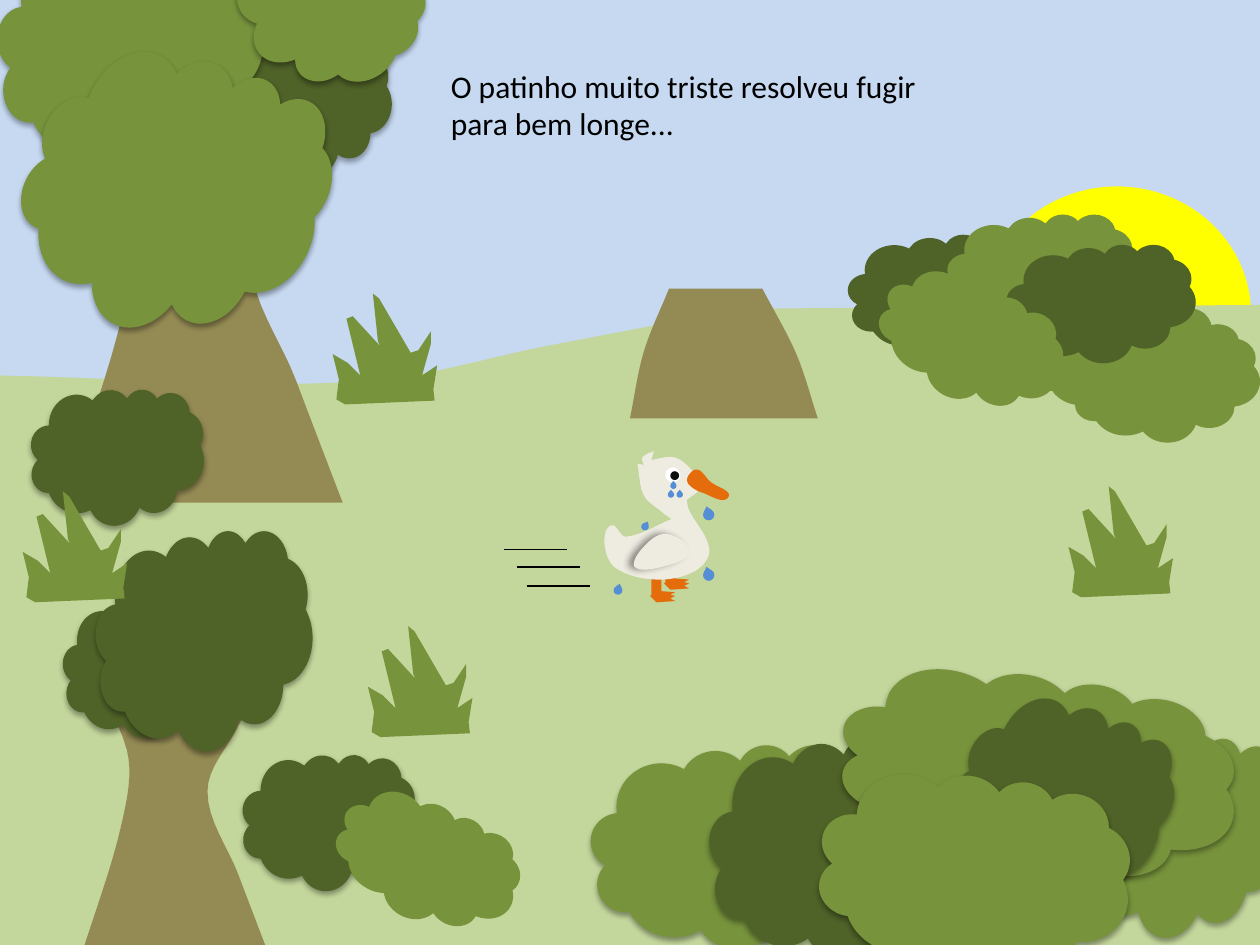
from dataclasses import dataclass
from math import hypot

from lxml.etree import SubElement
from pptx import Presentation
from pptx.dml.color import RGBColor
from pptx.enum.shapes import MSO_CONNECTOR, MSO_SHAPE as Preset
from pptx.oxml.ns import qn
from pptx.util import Cm, Pt

COLOURS = {
    "sky": "C6D9F1", "sun": "FFFF00", "meadow": "C3D69B", "wood": "948A54",
    "leaf": "77933C", "dark": "4F6228", "feather": "EEECE1", "orange": "E46C0A",
    "white": "FFFFFF", "pupil": "0D0D0D", "tear": "558ED5", "black": "000000",
}
PRESETS = {"cloud": Preset.CLOUD, "ellipse": Preset.OVAL, "leg": Preset.RECTANGLE, "drop": Preset.TEAR}
SHADOWS = {"soft": (35, 3.1, 1.8, 90), "wing": (40, 4, 3, 180)}
STORY = "O patinho muito triste resolveu fugir para bem longe..."
STORY_BOX = (3.48, 0.48, 3.94, 0.71)
SPEED_LINES = [(4, 4.36), (4.1, 4.5), (4.18, 4.65)]
BUSH = (1.5, 0.94)
SHRUB = (1.38, 1.1)
CROWN = (1.26, 1.1)
ROUND = (1.65, 1.65)

CURVED = {
    "hill": [[(0, 2.98)], [(2.85, 3.03), (4.37, 2.74), (5.89, 2.45)], [(10, 2.42)], [(10, 7.53)], [(0, 7.53)]],
    "body": [[(5.19, 3.58)], [(5.1, 3.63), (5.11, 3.69)], [(5.06, 3.68)],
             [(5.11, 3.93), (5.25, 4.06), (5.33, 4.12)],
             [(4.97, 4.26), (4.85, 4.17), (4.8, 4.33), (4.89, 4.51), (5.21, 4.6),
              (5.52, 4.53), (5.63, 4.36), (5.47, 4.05), (5.45, 3.97)],
             [(5.56, 3.86), (5.48, 3.72), (5.35, 3.63), (5.17, 3.65)]],
    "wing": [[(5.47, 4.37)], [(5.4, 4.28), (5.25, 4.24), (5.1, 4.35), (5.03, 4.48),
                              (5.09, 4.52), (5.25, 4.5), (5.42, 4.44), (5.47, 4.37)]],
    "beak": [[(5.45, 3.82)], [(5.51, 3.75), (5.63, 3.82), (5.8, 3.91), (5.59, 3.92),
                              (5.47, 3.88), (5.45, 3.82)]],
    "trunk": [[(0, 0)], [(2.21, 0)], [(1.84, 0.77), (1.48, 1.53), (1.84, 2.5), (2.21, 3.47)],
              [(0, 3.47)], [(0.48, 1.9), (0.54, 1.05), (0, 0)]],
    "stump": [[(0.31, 0)], [(1.05, 0)], [(1.32, 0.52), (1.49, 1.03)], [(0, 1.03)], [(0.11, 0.5), (0.31, 0)]],
}
STRAIGHT = {
    "foot": [(0, 0.04), (0.07, 0), (0.2, 0.01), (0.16, 0.03), (0.2, 0.04), (0.16, 0.06),
             (0.2, 0.08), (0.05, 0.09)],
    "tuft": [(0.32, 0), (0.37, 0.04), (0.62, 0.47), (0.68, 0.45), (0.78, 0.3), (0.78, 0.4),
             (0.71, 0.65), (0.83, 0.57), (0.8, 0.76), (0.81, 0.85), (0.1, 0.88), (0.03, 0.84),
             (0.05, 0.68), (0, 0.48), (0.12, 0.55), (0.22, 0.65), (0.11, 0.2), (0.16, 0.18),
             (0.38, 0.42), (0.36, 0.38)],
}


@dataclass
class Part:
    kind: str
    left: float
    top: float
    colour: str
    size: object = 1
    turn: float = 0
    shadow: str = ""


def leafy(left, top, colour, size, turn=0):
    return Part("cloud", left, top, colour, size, turn, "soft")


def drop(left, top, width, turn):
    return Part("drop", left, top, "tear", (width, width), turn)


LANDSCAPE = [Part("ellipse", 7.8, 1.48, "sun", (2.13, 2.03)), Part("hill", 0, 0, "meadow")]
DUCK = [
    part for left, top in [(5.16, 4.46), (5.27, 4.36)] for part in (
        Part("leg", left + 0.01, top, "orange", (0.08, 0.28)),
        Part("foot", left, top + 0.23, "orange"))
] + [
    Part("body", 0, 0, "feather"),
    Part("wing", 0, 0, "feather", shadow="wing"),
    Part("ellipse", 5.28, 3.71, "white", (0.12, 0.12)),
    Part("ellipse", 5.32, 3.74, "pupil", (0.07, 0.07)),
    Part("beak", 0, 0, "orange", turn=12.9),
]
BUSHES = [Part("trunk", 0.51, 0.52, "wood")] + [
    Part("cloud", left, top, colour, BUSH) for left, top, colour in [
        (8.15, 2.33, "leaf"), (6.73, 1.86, "dark"), (8.5, 2.57, "leaf"),
        (7.52, 1.7, "leaf"), (7.99, 1.94, "dark")]
] + [
    Part("cloud", 6.95, 2.24, "leaf", BUSH, 29.3),
    leafy(4.69, 5.91, "leaf", (2.28, 1.62)),
    leafy(5.63, 5.85, "dark", (2.05, 1.76)),
    leafy(8.55, 5.8, "leaf", ROUND, 12.8),
    leafy(1.85, 0.29, "dark", CROWN),
    leafy(-0.02, -0.58, "leaf", (2.11, 1.89)),
    leafy(0.24, 3.07, "dark", SHRUB, 6.4),
]
TEARS = [drop(left, top, 0.05, 315) for left, top in [(5.32, 3.83), (5.37, 3.9), (5.3, 3.9)]]
FOREGROUND = [
    leafy(6.65, 5.34, "leaf", (3.17, 1.65), 12.8),
    leafy(7.59, 5.54, "dark", ROUND, 30.5),
    leafy(6.49, 6.13, "leaf", (2.48, 1.65), 12.8),
    leafy(1.85, -0.66, "leaf", (1.46, 1.33), 53.6),
    leafy(0.23, 0.4, "leaf", (2.31, 2.27), 26.3),
    leafy(1.92, 5.97, "dark", SHRUB, 6.4),
    drop(5.09, 4.15, 0.06, 345),
    drop(4.87, 4.65, 0.07, 330),
    drop(5.58, 4.52, 0.09, 300),
    drop(5.58, 4.04, 0.09, 300),
    Part("cloud", 2.64, 6.37, "leaf", BUSH, 29.3),
    Part("trunk", 0.64, 5.24, "wood", 0.68),
    leafy(0.5, 4.75, "dark", CROWN),
    leafy(0.76, 4.21, "dark", (1.72, 1.75)),
    Part("stump", 5, 2.29, "wood"),
] + [Part("tuft", left, top, "leaf")
     for left, top in [(2.64, 2.33), (8.48, 3.86), (2.92, 4.97), (0.18, 3.9)]]
LAYERS = [(LANDSCAPE, False), (DUCK, True), (BUSHES, False), (TEARS, True), (FOREGROUND, False)]
CURVE_STEPS = 8


def length(inches):
    return Cm(inches * 2.54)


def rgb(colour):
    return RGBColor.from_string(COLOURS[colour])


def smooth(anchors):
    closed = anchors[0] == anchors[-1]
    before = anchors[-2] if closed else anchors[0]
    after = anchors[1] if closed else anchors[-1]
    padded = [before, *anchors, after]
    points = []
    for p, a, b, q in zip(padded, padded[1:], padded[2:], padded[3:]):
        reach = hypot(b[0] - a[0], b[1] - a[1]) / 3
        ahead = reach / hypot(b[0] - p[0], b[1] - p[1])
        back = reach / hypot(q[0] - a[0], q[1] - a[1])
        for i in range(1, CURVE_STEPS + 1):
            t = i / CURVE_STEPS
            u = 1 - t
            points.append(tuple(
                u**3 * a[k] + 3 * u * u * t * (a[k] + ahead * (b[k] - p[k]))
                + 3 * u * t * t * (b[k] - back * (q[k] - a[k])) + t**3 * b[k] for k in (0, 1)))
    return points


def trace(kind):
    if kind in STRAIGHT:
        return STRAIGHT[kind]
    points = list(CURVED[kind][0])
    for stroke in CURVED[kind][1:]:
        points += stroke if len(stroke) == 1 else smooth([points[-1], *stroke])
    return points


def cast_shadow(shape, opacity, blur, distance, angle):
    effects = shape._element.spPr.find(qn("a:effectLst"))
    outer = SubElement(effects, qn("a:outerShdw"), blurRad=str(Pt(blur)), dist=str(Pt(distance)),
                       dir=str(angle * 60000), rotWithShape="0")
    tone = SubElement(outer, qn("a:srgbClr"), val=COLOURS["black"])
    SubElement(tone, qn("a:alpha"), val=str(opacity * 1000))


def draw_part(shapes, part):
    if part.kind in PRESETS:
        shape = shapes.add_shape(PRESETS[part.kind], *map(length, (part.left, part.top, *part.size)))
    else:
        points = [(length(part.left + x * part.size), length(part.top + y * part.size))
                  for x, y in trace(part.kind)]
        pen = shapes.build_freeform(*points[0])
        pen.add_line_segments(points[1:], close=True)
        shape = pen.convert_to_shape()
    if part.kind == "drop":
        shape.adjustments[0] = 1.08
    shape.rotation = part.turn
    shape.fill.solid()
    shape.fill.fore_color.rgb = rgb(part.colour)
    shape.line.fill.background()
    shape.shadow.inherit = False
    if part.shadow:
        cast_shadow(shape, *SHADOWS[part.shadow])


def draw_speed_line(shapes, left, top):
    line = shapes.add_connector(MSO_CONNECTOR.STRAIGHT, *map(length, (left, top, left + 0.5, top)))
    line.line.color.rgb = rgb("black")
    line.line.width = Pt(0.75)
    SubElement(line._element.spPr, qn("a:effectLst"))


def main():
    """Build the slide of the sad duckling running away."""
    deck = Presentation()
    deck.slide_width, deck.slide_height = Cm(25.4), Cm(19.05)
    slide = deck.slides.add_slide(deck.slide_layouts[6])
    slide.background.fill.solid()
    slide.background.fill.fore_color.rgb = rgb("sky")
    for parts, grouped in LAYERS:
        shapes = slide.shapes.add_group_shape().shapes if grouped else slide.shapes
        for part in parts:
            draw_part(shapes, part)
    for left, top in SPEED_LINES:
        draw_speed_line(slide.shapes, left, top)
    frame = slide.shapes.add_textbox(*map(length, STORY_BOX)).text_frame
    frame.word_wrap = True
    run = frame.paragraphs[0].add_run()
    run.text = STORY
    run.font.name, run.font.size = "Calibri", Pt(18)
    run.font.color.rgb = rgb("black")
    deck.save("out.pptx")


if __name__ == "__main__":
    main()
